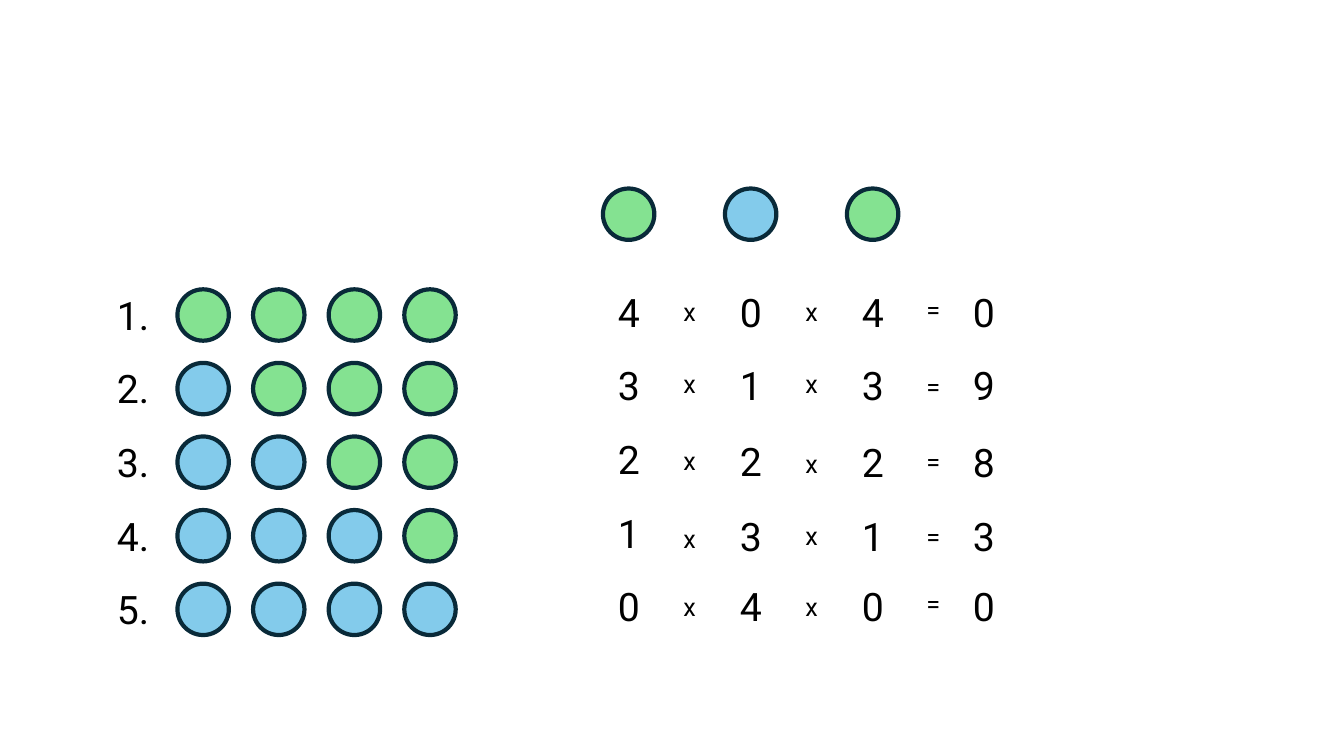
"""Build a slide that counts green and blue circles and multiplies the counts."""
import dataclasses

import pptx
import pptx.dml.color
import pptx.enum.shapes
import pptx.enum.text
import pptx.slide
import pptx.util

GREEN = pptx.dml.color.RGBColor(0x84, 0xE2, 0x91)
BLUE = pptx.dml.color.RGBColor(0x83, 0xCB, 0xEB)
OUTLINE = pptx.dml.color.RGBColor(0x09, 0x2A, 0x39)
BLACK = pptx.dml.color.RGBColor(0, 0, 0)
FONT = "Roboto"

DIAMETER = 0.51
FIRST_ROW, ROW_PITCH = 2.87, 0.73
FIRST_CIRCLE, CIRCLE_PITCH = 1.76, 0.75
FIRST_FACTOR, FACTOR_PITCH, FACTOR_TOP = 5.98, 1.21, 1.87
CIRCLES = 4
ROWS = range(CIRCLES + 1)


@dataclasses.dataclass(frozen=True)
class Column:
    """A column of texts, with the offset of each text from its grid row."""

    left: float
    width: float
    height: float
    size: int
    texts: list[str]
    offsets: tuple[float, ...]


def row_top(row: int) -> float:
    """Return the top of a grid row in inches."""
    return FIRST_ROW + row * ROW_PITCH


def add_circle(s: pptx.slide.Slide, left: float, top: float,
               fill: pptx.dml.color.RGBColor) -> None:
    """Draw one outlined circle."""
    sp = s.shapes.add_shape(pptx.enum.shapes.MSO_SHAPE.OVAL,
                            *map(pptx.util.Inches, (left, top, DIAMETER, DIAMETER)))
    sp.shadow.inherit = False
    sp.fill.solid()
    sp.fill.fore_color.rgb = fill
    sp.line.color.rgb = OUTLINE
    sp.line.width = pptx.util.Pt(3)


def add_text(s: pptx.slide.Slide, text: str, *, left: float, top: float,
             width: float, height: float, size: int) -> None:
    """Place one line of text in a box that fits it."""
    tf = s.shapes.add_textbox(
        *map(pptx.util.Inches, (left, top, width, height))).text_frame
    tf.word_wrap = False
    tf.auto_size = pptx.enum.text.MSO_AUTO_SIZE.SHAPE_TO_FIT_TEXT
    r = tf.paragraphs[0].add_run()
    r.text = text
    r.font.name = FONT
    r.font.size = pptx.util.Pt(size)
    r.font.color.rgb = BLACK


def add_column(s: pptx.slide.Slide, column: Column) -> None:
    """Write the texts of a column down the grid rows."""
    for row, (text, offset) in enumerate(zip(column.texts, column.offsets)):
        add_text(s, text, left=column.left, top=row_top(row) + offset,
                 width=column.width, height=column.height, size=column.size)


def digits(left: float, values: list[int], offsets: tuple[float, ...]) -> Column:
    """Describe a column of large digits."""
    return Column(left, 0.41, 0.57, 28, [str(value) for value in values], offsets)


def signs(left: float, width: float, sign: str, offsets: tuple[float, ...]) -> Column:
    """Describe a column of one small repeated sign."""
    return Column(left, width, 0.4, 18, [sign] * len(ROWS), offsets)


def main() -> None:
    """Build and save the slide."""
    prs = pptx.Presentation()
    prs.slide_width = pptx.util.Inches(13.33)
    prs.slide_height = pptx.util.Inches(7.5)
    s = prs.slides.add_slide(prs.slide_layouts[6])

    for blue_count in ROWS:
        for col in range(CIRCLES):
            add_circle(s, FIRST_CIRCLE + col * CIRCLE_PITCH, row_top(blue_count),
                       BLUE if col < blue_count else GREEN)
    for col, fill in enumerate((GREEN, BLUE, GREEN)):
        add_circle(s, FIRST_FACTOR + col * FACTOR_PITCH, FACTOR_TOP, fill)

    blues = list(ROWS)
    greens = [CIRCLES - blue for blue in blues]
    products = [green * blue * green for green, blue in zip(greens, blues)]
    columns = (
        Column(1.06, 0.52, 0.57, 28, [f"{row + 1}." for row in ROWS],
               (-0.03,) * len(ROWS)),
        digits(6.03, greens, (-0.06,) * len(ROWS)),
        signs(6.68, 0.31, "x", (0.02, 0, 0.04, 0.08, 0.03)),
        digits(7.24, blues, (-0.06, -0.06, -0.04, -0.03, -0.06)),
        signs(7.89, 0.31, "x", (0.02, 0, 0.07, 0.05, 0.03)),
        digits(8.45, greens, (-0.06, -0.06, -0.03, -0.03, -0.06)),
        signs(9.09, 0.34, "=", (0, 0.03, 0.05, 0.06, 0)),
        digits(9.55, products, (-0.06, -0.06, -0.03, -0.03, -0.06)),
    )
    for column in columns:
        add_column(s, column)
    prs.save("out.pptx")


if __name__ == "__main__":
    main()
